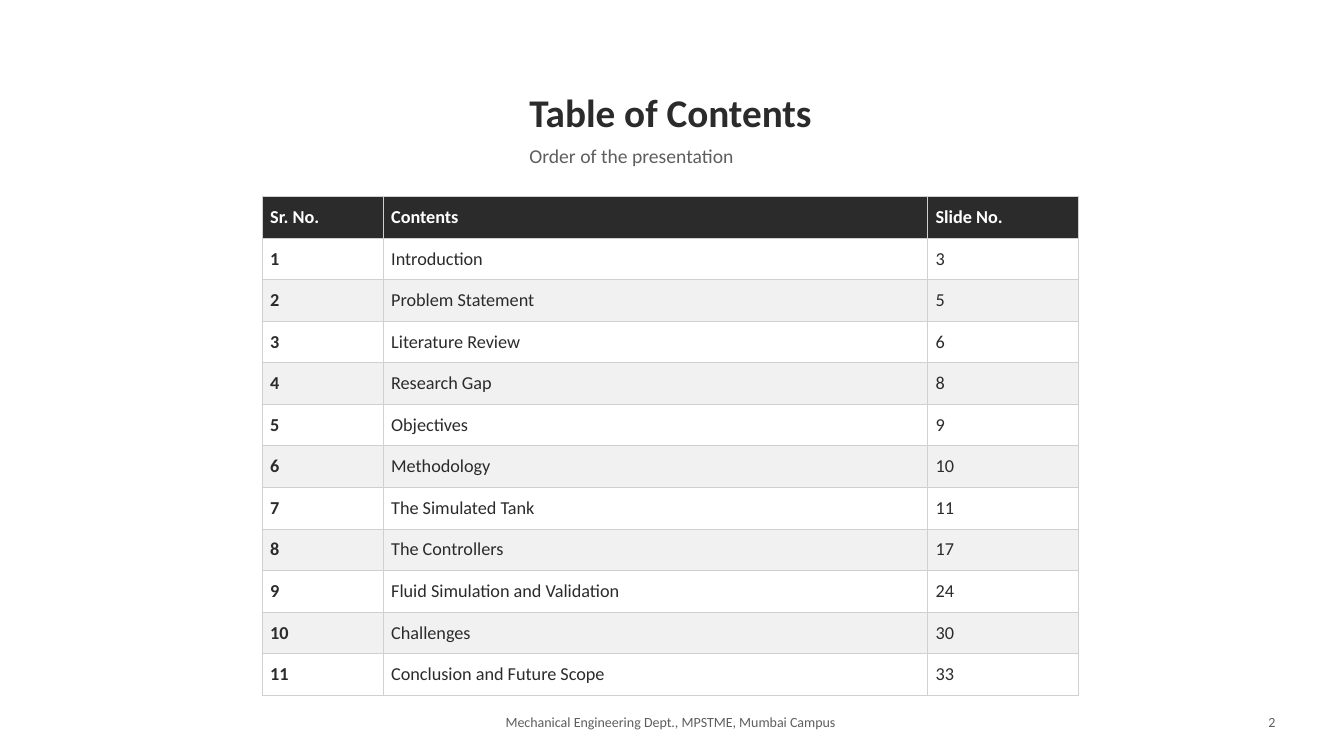
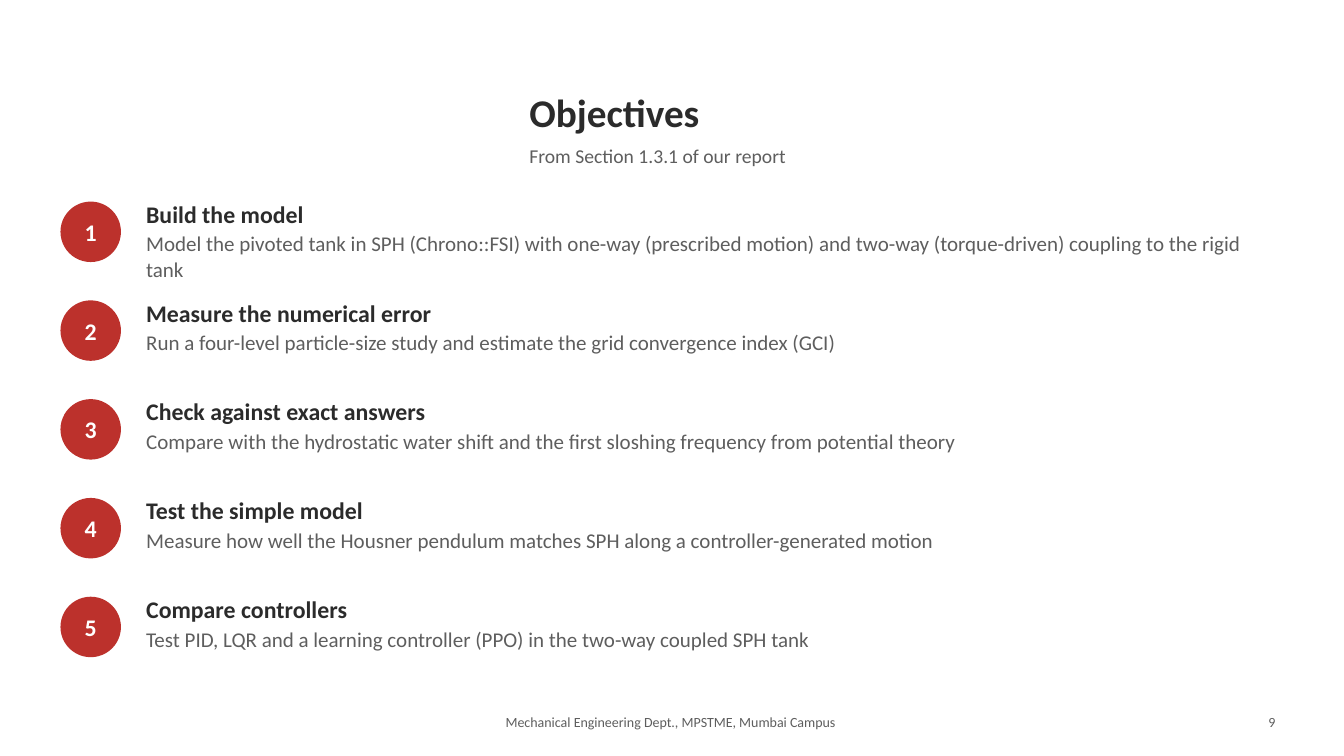
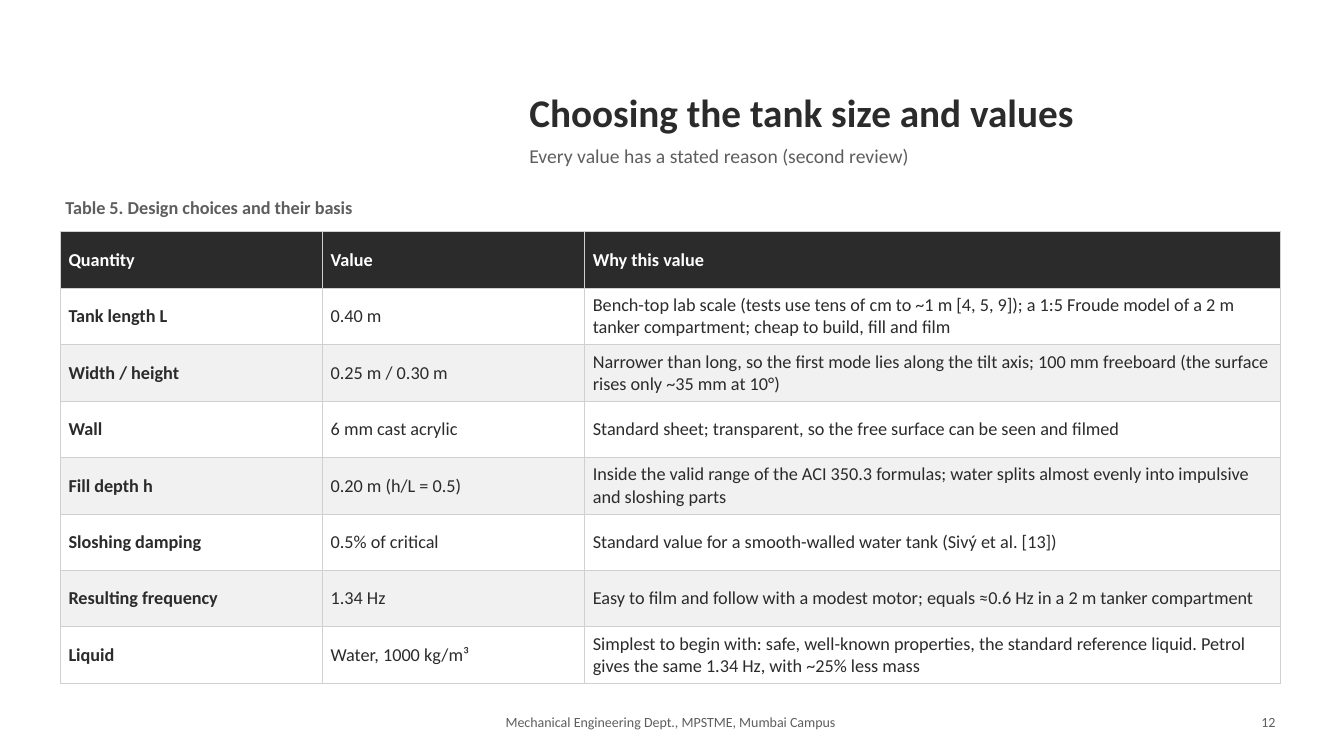
from dataclasses import dataclass
from typing import NamedTuple, Sequence

from lxml import etree
from pptx import Presentation
from pptx import util as u
from pptx.dml.color import RGBColor
from pptx.enum import shapes, text
from pptx.oxml import ns

PX = 9144  # one px is a hundredth of an inch
ALIGN = text.PP_ALIGN
ANCHOR = text.MSO_ANCHOR
FOOTER = "Mechanical Engineering Dept., MPSTME, Mumbai Campus"


# Theme
@dataclass(frozen=True)
class Theme:
    font: str = "Calibri"
    ink: str = "2B2B2B"
    muted: str = "5E5E5E"
    accent: str = "BC312C"
    white: str = "FFFFFF"
    band: str = "F1F1F1"
    rule: str = "D0D0D0"
    title: int = 28
    subtitle: int = 14
    heading: int = 17
    body: int = 15
    table: int = 13
    footer: int = 10


T = Theme()


class Box(NamedTuple):
    x: int
    y: int
    w: int
    h: int


class Style(NamedTuple):
    size: int
    color: str
    bold: bool = False


class Line(NamedTuple):
    text: str
    style: Style


class Objective(NamedTuple):
    name: str
    detail: str


class Table(NamedTuple):
    box: Box
    cols: Sequence[int]
    rows: Sequence[Sequence[str]]


TITLE = Style(T.title, T.ink, True)
SUBTITLE = Style(T.subtitle, T.muted)
CAPTION = Style(T.table, T.muted, True)
HEADING = Style(T.heading, T.ink, True)
BODY = Style(T.body, T.muted)
BADGE = Style(T.heading, T.white, True)
SMALL = Style(T.footer, T.muted)
HEAD_CELL = Style(T.table, T.white, True)


# Drawing helpers
def emu(px: int) -> u.Emu:
    return u.Emu(px * PX)


def place(box: Box) -> list[u.Emu]:
    return [emu(v) for v in box]


def write(p, line: Line) -> None:
    r = p.add_run()
    r.text = line.text
    r.font.name = T.font
    r.font.size = u.Pt(line.style.size)
    r.font.bold = line.style.bold
    r.font.color.rgb = RGBColor.from_string(line.style.color)


def fill_frame(tf, lines: Sequence[Line], inset: int, align: ALIGN, anchor: ANCHOR, after: int) -> None:
    tf.word_wrap = True
    tf.vertical_anchor = anchor
    tf.margin_left = tf.margin_right = tf.margin_top = tf.margin_bottom = emu(inset)
    for i, line in enumerate(lines):
        p = tf.add_paragraph() if i else tf.paragraphs[0]
        p.alignment = align
        p.space_after = u.Pt(after)
        write(p, line)


def add_text(s, box: Box, *lines: Line, align: ALIGN = ALIGN.LEFT,
             anchor: ANCHOR = ANCHOR.TOP, after: int = 6) -> None:
    tf = s.shapes.add_textbox(*place(box)).text_frame
    fill_frame(tf, lines, 5, align, anchor, after)
    tf.auto_size = text.MSO_AUTO_SIZE.SHAPE_TO_FIT_TEXT


def add_badge(s, box: Box, label: str) -> None:
    sp = s.shapes.add_shape(shapes.MSO_SHAPE.OVAL, *place(box))
    sp.shadow.inherit = False
    sp.fill.solid()
    sp.fill.fore_color.rgb = RGBColor.from_string(T.accent)
    sp.line.fill.background()
    fill_frame(sp.text_frame, [Line(label, BADGE)], 0, ALIGN.CENTER, ANCHOR.MIDDLE, 4)


def add_borders(cell) -> None:
    tc_pr = cell._tc.get_or_add_tcPr()
    for side in ("a:lnL", "a:lnR", "a:lnT", "a:lnB"):
        ln = etree.SubElement(tc_pr, ns.qn(side), w=str(u.Pt(0.75)))
        solid = etree.SubElement(ln, ns.qn("a:solidFill"))
        etree.SubElement(solid, ns.qn("a:srgbClr"), val=T.rule)


def draw_table(s, spec_table: Table) -> None:
    box, cols, rows = spec_table
    tbl = s.shapes.add_table(len(rows), len(cols), *place(box)).table
    tbl.horz_banding = False
    for col, width in zip(tbl.columns, cols):
        col.width = emu(width)
    for i, row in enumerate(rows):
        tbl.rows[i].height = u.Emu(box.h * PX // len(rows))
        back = T.ink if i == 0 else T.white if i % 2 else T.band
        for j, value in enumerate(row):
            cell = tbl.cell(i, j)
            add_borders(cell)
            cell.fill.solid()
            cell.fill.fore_color.rgb = RGBColor.from_string(back)
            cell.vertical_anchor = ANCHOR.MIDDLE
            cell.margin_left = cell.margin_right = emu(8)
            cell.margin_top = cell.margin_bottom = emu(4)
            style = Style(T.table, T.ink, j == 0) if i else HEAD_CELL
            write(cell.text_frame.paragraphs[0], Line(value, style))


def new_slide(prs, title: str, subtitle: str, number: int):
    """Add a slide with the shared heading and footer."""
    s = prs.slides.add_slide(prs.slide_layouts[6])
    add_text(s, Box(520, 80, 775, 62), Line(title, TITLE), anchor=ANCHOR.MIDDLE)
    add_text(s, Box(520, 138, 775, 38), Line(subtitle, SUBTITLE))
    add_text(s, Box(320, 703, 690, 28), Line(FOOTER, SMALL), align=ALIGN.CENTER)
    add_text(s, Box(1190, 703, 80, 28), Line(str(number), SMALL), align=ALIGN.RIGHT)
    return s


# Content
SECTIONS = [
    ("Introduction", 3),
    ("Problem Statement", 5),
    ("Literature Review", 6),
    ("Research Gap", 8),
    ("Objectives", 9),
    ("Methodology", 10),
    ("The Simulated Tank", 11),
    ("The Controllers", 17),
    ("Fluid Simulation and Validation", 24),
    ("Challenges", 30),
    ("Conclusion and Future Scope", 33),
]
CONTENTS = Table(
    Box(260, 195, 810, 495), (120, 540, 150),
    [("Sr. No.", "Contents", "Slide No.")]
    + [(str(n), name, str(page)) for n, (name, page) in enumerate(SECTIONS, 1)],
)

OBJECTIVES = [
    Objective("Build the model",
              "Model the pivoted tank in SPH (Chrono::FSI) with one-way (prescribed motion) "
              "and two-way (torque-driven) coupling to the rigid tank"),
    Objective("Measure the numerical error",
              "Run a four-level particle-size study and estimate the grid convergence index (GCI)"),
    Objective("Check against exact answers",
              "Compare with the hydrostatic water shift and the first sloshing frequency "
              "from potential theory"),
    Objective("Test the simple model",
              "Measure how well the Housner pendulum matches SPH along a controller-generated motion"),
    Objective("Compare controllers",
              "Test PID, LQR and a learning controller (PPO) in the two-way coupled SPH tank"),
]

DESIGN = Table(Box(60, 230, 1210, 448), (260, 260, 690), [
    ("Quantity", "Value", "Why this value"),
    ("Tank length L", "0.40 m",
     "Bench-top lab scale (tests use tens of cm to ~1 m [4, 5, 9]); a 1:5 Froude model "
     "of a 2 m tanker compartment; cheap to build, fill and film"),
    ("Width / height", "0.25 m / 0.30 m",
     "Narrower than long, so the first mode lies along the tilt axis; 100 mm freeboard "
     "(the surface rises only ~35 mm at 10°)"),
    ("Wall", "6 mm cast acrylic",
     "Standard sheet; transparent, so the free surface can be seen and filmed"),
    ("Fill depth h", "0.20 m (h/L = 0.5)",
     "Inside the valid range of the ACI 350.3 formulas; water splits almost evenly "
     "into impulsive and sloshing parts"),
    ("Sloshing damping", "0.5% of critical",
     "Standard value for a smooth-walled water tank (Sivý et al. [13])"),
    ("Resulting frequency", "1.34 Hz",
     "Easy to film and follow with a modest motor; equals ≈0.6 Hz in a 2 m tanker compartment"),
    ("Liquid", "Water, 1000 kg/m³",
     "Simplest to begin with: safe, well-known properties, the standard reference liquid. "
     "Petrol gives the same 1.34 Hz, with ~25% less mass"),
])


# Slides
def contents_slide(prs) -> None:
    s = new_slide(prs, "Table of Contents", "Order of the presentation", 2)
    draw_table(s, CONTENTS)


def objectives_slide(prs) -> None:
    s = new_slide(prs, "Objectives", "From Section 1.3.1 of our report", 9)
    top, pitch = 193, 98
    for i, item in enumerate(OBJECTIVES):
        y = top + i * pitch
        add_badge(s, Box(60, y + 7, 60, 60), str(i + 1))
        add_text(s, Box(140, y, 1130, pitch), Line(item.name, HEADING),
                 Line(item.detail, BODY), after=2)


def design_slide(prs) -> None:
    s = new_slide(prs, "Choosing the tank size and values",
                  "Every value has a stated reason (second review)", 12)
    add_text(s, Box(60, 190, 1210, 35), Line("Table 5. Design choices and their basis", CAPTION))
    draw_table(s, DESIGN)


def main() -> None:
    prs = Presentation()
    prs.slide_width, prs.slide_height = emu(1333), emu(750)
    contents_slide(prs)
    objectives_slide(prs)
    design_slide(prs)
    prs.save("out.pptx")


if __name__ == "__main__":
    main()
